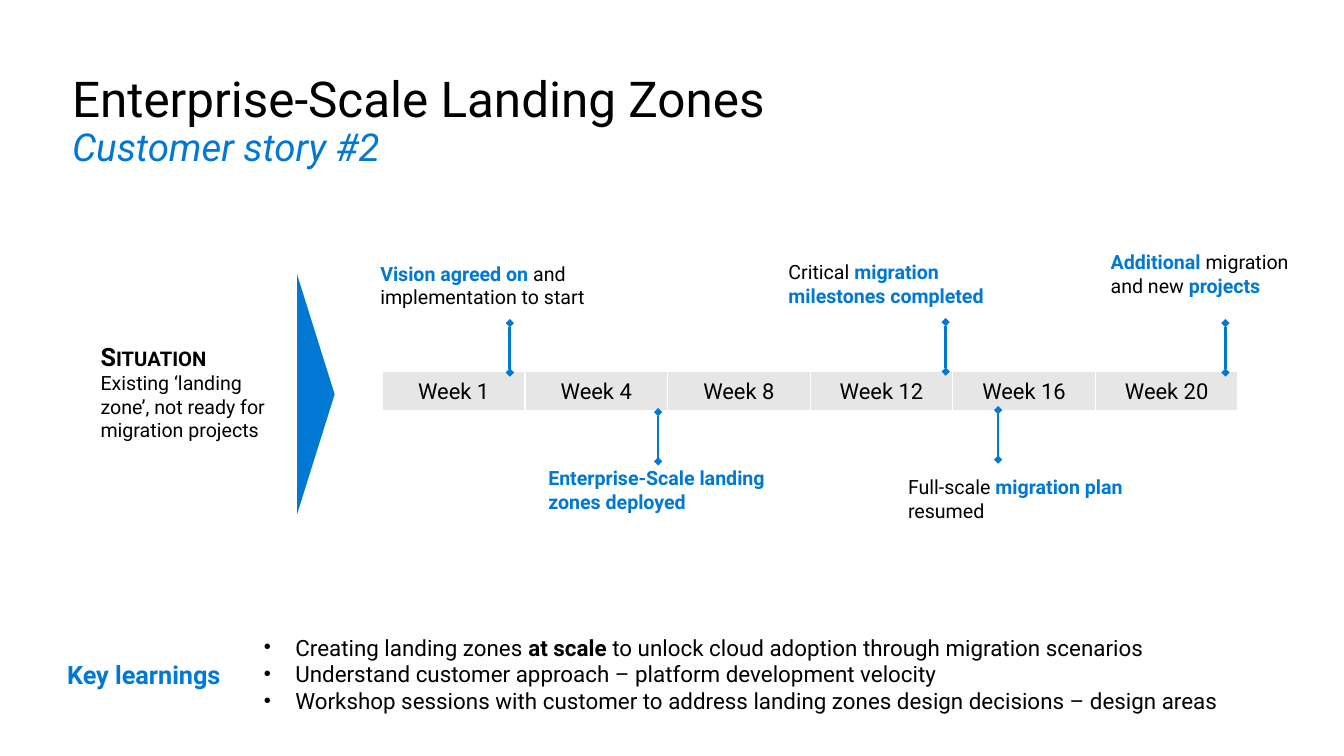
from lxml import etree
from pptx import Presentation
from pptx.dml.color import RGBColor as RGB
from pptx.enum.shapes import MSO_CONNECTOR as CONN, MSO_SHAPE as SHAPE
from pptx.enum.text import MSO_ANCHOR as ANCHOR, PP_ALIGN as ALIGN
from pptx.oxml.ns import qn
from pptx.util import Pt

COLORS = {"ink": "000000", "blue": "0078D4", "cell": "E6E6E6", "white": "FFFFFF"}
FONT = "Roboto"
STEM = 36


def color(name):
    return RGB.from_string(COLORS[name])


def sub(parent, tag, **attrs):
    return etree.SubElement(parent, qn(tag), attrs)


class Canvas:
    """Holds the slide and draws its elements in one style, in points."""

    def __init__(self, slide):
        self.shapes = slide.shapes

    def run(self, p, text, size, tint="ink", bold=False, italic=False, small_caps=False):
        r = p.add_run()
        r.text = text
        r.font.name, r.font.size = FONT, Pt(size)
        r.font.bold, r.font.italic = bold, italic
        r.font.color.rgb = color(tint)
        if small_caps:
            r.font._element.set("cap", "small")

    def bullet(self, p, indent):
        pPr = p._p.get_or_add_pPr()
        pPr.set("marL", str(Pt(indent)))
        pPr.set("indent", str(-Pt(indent)))
        sub(pPr, "a:buSzPct", val="90000")
        sub(pPr, "a:buFont", typeface="Arial")
        sub(pPr, "a:buChar", char="•")

    def text(self, box, paragraphs, anchor=ANCHOR.TOP, inset=None, indent=0, spacing=None):
        tf = self.shapes.add_textbox(*map(Pt, box)).text_frame
        tf.word_wrap, tf.vertical_anchor = True, anchor
        if inset is not None:
            tf.margin_left = tf.margin_right = Pt(inset)
            tf.margin_top = tf.margin_bottom = Pt(inset)
        for i, runs in enumerate(paragraphs):
            p = tf.add_paragraph() if i else tf.paragraphs[0]
            if indent:
                self.bullet(p, indent)
            if spacing:
                p.line_spacing = spacing
            for text, size, style in runs:
                self.run(p, text, size, **style)

    def triangle(self, box, rotation):
        sp = self.shapes.add_shape(SHAPE.ISOSCELES_TRIANGLE, *map(Pt, box))
        sp.rotation = rotation
        sp.shadow.inherit = False
        sp.fill.solid()
        sp.fill.fore_color.rgb = color("blue")
        sp.line.fill.background()

    def stem(self, x, top):
        line = self.shapes.add_connector(CONN.STRAIGHT, Pt(x), Pt(top + STEM), Pt(x), Pt(top))
        line.line.color.rgb = color("blue")
        line.line.width = Pt(2)
        ln = line.line._get_or_add_ln()
        sub(ln, "a:headEnd", type="diamond")
        sub(ln, "a:tailEnd", type="diamond")
        sub(line._element.spPr, "a:effectLst")

    def border(self, cell, side, width):
        ln = sub(cell._tc.get_or_add_tcPr(), f"a:ln{side}", w=str(Pt(width)))
        sub(sub(ln, "a:solidFill"), "a:srgbClr", val=COLORS["white"])

    def timeline(self, box, labels):
        table = self.shapes.add_table(1, len(labels), *map(Pt, box)).table
        table.first_row = table.horz_banding = False
        for col, cell, label in zip(table.columns, table.rows[0].cells, labels):
            col.width = Pt(box[2] / len(labels))
            for side, width in (("L", 1), ("R", 1), ("T", 1), ("B", 3)):
                self.border(cell, side, width)
            cell.fill.solid()
            cell.fill.fore_color.rgb = color("cell")
            cell.vertical_anchor = ANCHOR.MIDDLE
            p = cell.text_frame.paragraphs[0]
            p.alignment = ALIGN.CENTER
            self.run(p, label, 16)

    def milestone(self, x, top, box, runs):
        self.stem(x, top)
        styles = {True: {"tint": "blue", "bold": True}, False: {}}
        self.text(box, [[(text, 14.3, styles[key]) for text, key in runs]])


def main():
    prs = Presentation()
    prs.slide_width, prs.slide_height = Pt(979.2), Pt(550.8)
    s = Canvas(prs.slides.add_slide(prs.slide_layouts[6]))

    s.text((45.4, 36, 911.5, 106.6), [
        [("Enterprise-Scale Landing Zones", 36, {})],
        [("Customer story #2", 28, {"tint": "blue", "italic": True})],
    ], anchor=ANCHOR.MIDDLE, spacing=0.9)

    s.text((66.2, 244.8, 144.7, 81.4), [
        [("Situation", 18.4, {"bold": True, "small_caps": True})],
        [("Existing ‘landing zone’, not ready for migration projects", 14.3, {})],
    ])
    s.triangle((142.6, 273.6, 175, 27.4), 90)

    s.timeline((278.6, 270.7, 623.5, 29.5), [f"Week {n}" for n in (1, 4, 8, 12, 16, 20)])

    milestones = [
        (371.5, 235.4, (270, 187.2, 177.1, 41.8),
         [("Vision agreed on", True), (" and implementation to start", False)]),
        (479.5, 300.2, (392.4, 336.2, 175, 41.8),
         [("Enterprise-Scale landing zones deployed", True)]),
        (689, 234.7, (567.4, 185.8, 175, 41.8),
         [("Critical", False), (" migration milestones completed", True)]),
        (727.2, 298.8, (654.5, 342.7, 171.4, 41.8),
         [("Full-scale ", False), ("migration plan ", True), ("resumed", False)]),
        (892.8, 235.4, (802.1, 178.6, 154.8, 41.8),
         [("Additional ", True), ("migration and new ", False), ("projects", True)]),
    ]
    for x, top, box, runs in milestones:
        s.milestone(x, top, box, runs)

    s.text((41.8, 476.6, 136.8, 29.5),
           [[("Key learnings", 18.4, {"tint": "blue", "bold": True})]])
    s.text((192.2, 450.7, 756.7, 80.6), [
        [("Creating landing zones ", 16.3, {}), ("at scale ", 16.3, {"bold": True}),
         ("to unlock cloud adoption through migration scenarios", 16.3, {})],
        [("Understand customer approach – platform development velocity", 16.3, {})],
        [("Workshop sessions with customer to address landing zones design decisions"
          " – design areas", 16.3, {})],
    ], anchor=ANCHOR.MIDDLE, inset=0, indent=23)

    prs.save("out.pptx")


if __name__ == "__main__":
    main()
